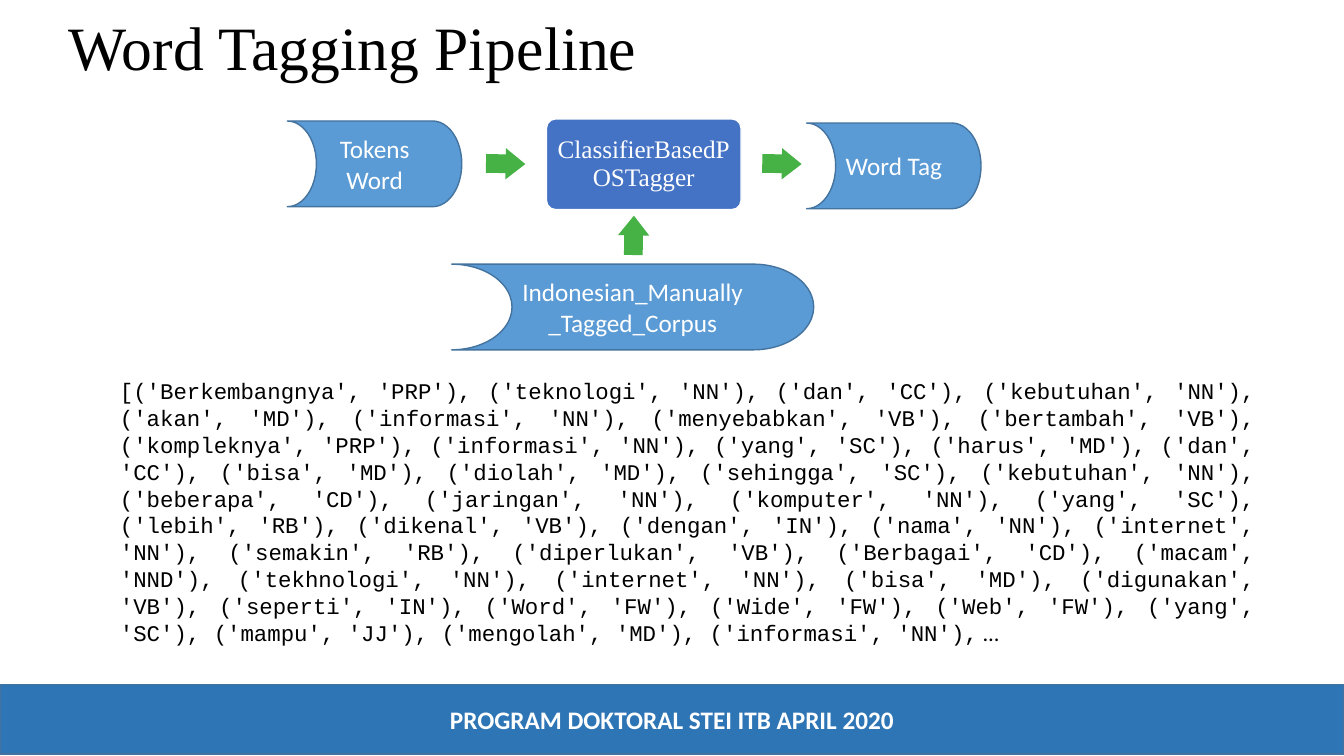
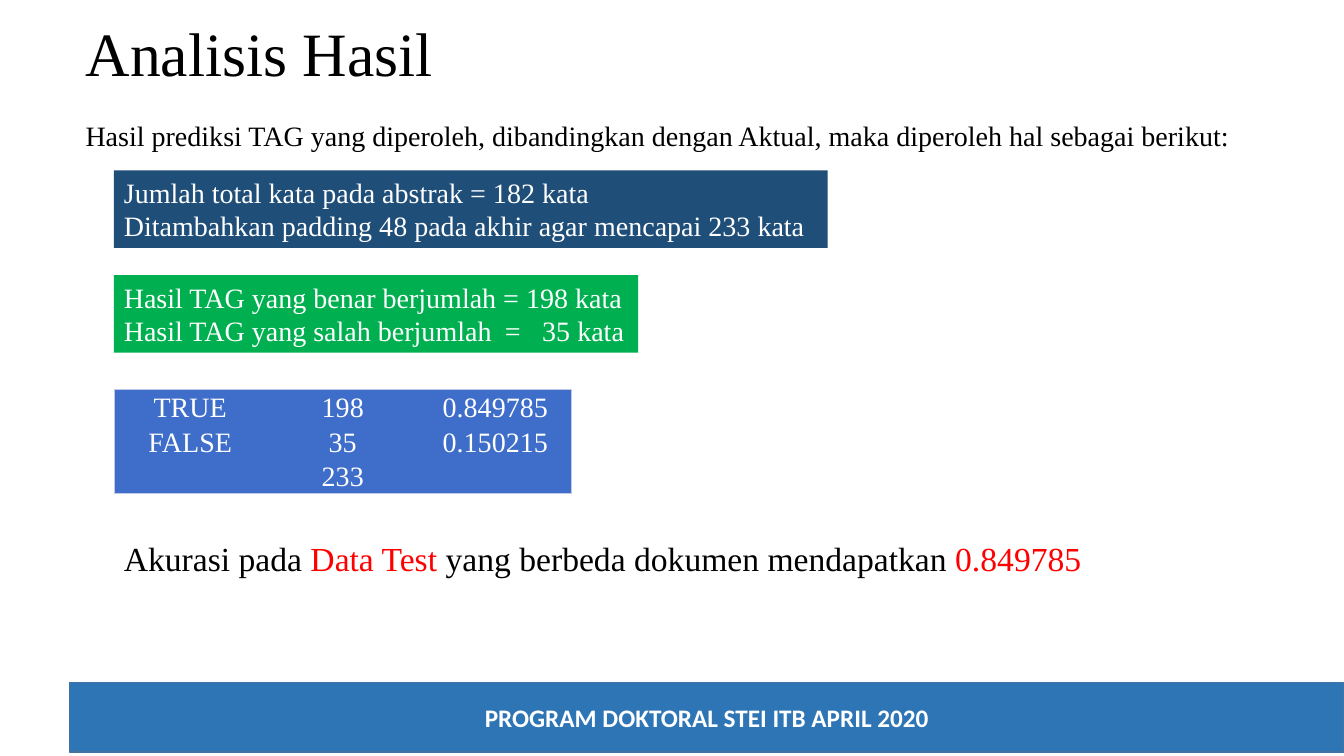
import dataclasses

import lxml.etree
import pptx
import pptx.dml.color
import pptx.enum.shapes
import pptx.enum.text
import pptx.oxml.ns
import pptx.util

Inches = pptx.util.Inches
Pt = pptx.util.Pt
Shape = pptx.enum.shapes.MSO_SHAPE
Align = pptx.enum.text.PP_ALIGN
Anchor = pptx.enum.text.MSO_ANCHOR
AutoSize = pptx.enum.text.MSO_AUTO_SIZE
qn = pptx.oxml.ns.qn


@dataclasses.dataclass(frozen=True)
class Theme:
    black: str = "000000"
    white: str = "FFFFFF"
    red: str = "FF0000"
    green: str = "00B050"
    navy: str = "1F4E79"
    band: str = "2E75B6"
    data: str = "5B9BD5"
    outline: str = "43739E"
    process: str = "4472C4"
    arrow: str = "46B246"
    table: str = "3E6EC9"
    border: str = "C1C9E4"
    serif: str = "Times New Roman"
    sans: str = "Calibri"
    mono: str = "Courier New"
    title_size: int = 44
    remark_size: int = 24
    body_size: int = 20
    label_size: int = 18
    code_size: int = 16


def rgb(value):
    return pptx.dml.color.RGBColor.from_string(value)


def apply(target, values):
    for name, value in values.items():
        setattr(target, name, value)


class Deck:
    width, height = 13.33, 7.5
    footer = "PROGRAM DOKTORAL STEI ITB APRIL 2020"

    def __init__(self):
        self.theme = Theme()
        self.show = pptx.Presentation()
        self.show.slide_width = Inches(self.width)
        self.show.slide_height = Inches(self.height)
        self.page = None

    def start(self, title, place):
        self.page = self.show.slides.add_slide(self.show.slide_layouts[5])
        box = self.page.shapes.title
        sides = zip(("left", "top", "width", "height"), place)
        apply(box, {side: Inches(length) for side, length in sides})
        self.frame(box, Anchor.MIDDLE)
        self.text(box, [[title]], size=self.theme.title_size, spacing=0.9)

    def frame(self, box, anchor, inset=(0.1, 0.05), wrap=True, grow=False):
        across, down = (Inches(length) for length in inset)
        apply(box.text_frame, {
            "auto_size": AutoSize.SHAPE_TO_FIT_TEXT if grow else AutoSize.NONE,
            "word_wrap": wrap,
            "vertical_anchor": anchor,
            "margin_left": across,
            "margin_right": across,
            "margin_top": down,
            "margin_bottom": down,
        })

    def text(self, box, lines, size, color=None, face=None, align=Align.LEFT,
             bold=False, spacing=None, tabs=()):
        frame = box.text_frame
        for index, line in enumerate(lines):
            para = frame.add_paragraph() if index else frame.paragraphs[0]
            apply(para, {"alignment": align, "line_spacing": spacing})
            if any("\t" in str(piece) for piece in line):
                self.set_tabs(para, tabs)
            for piece in line:
                words, changes = (piece, {}) if isinstance(piece, str) else piece
                span = para.add_run()
                span.text = words
                apply(span.font, {
                    "name": changes.get("face", face or self.theme.serif),
                    "size": Pt(size),
                    "bold": bold,
                })
                span.font.color.rgb = rgb(
                    changes.get("color", color or self.theme.black))

    def set_tabs(self, para, tabs):
        properties = para._p.get_or_add_pPr()
        stops = lxml.etree.SubElement(properties, qn("a:tabLst"))
        for position in tabs:
            lxml.etree.SubElement(stops, qn("a:tab"),
                                  pos=str(Inches(position)), algn="l")

    def shape(self, kind, place, fill, line=None):
        box = self.page.shapes.add_shape(kind, *map(Inches, place))
        box.shadow.inherit = False
        box.fill.solid()
        box.fill.fore_color.rgb = rgb(fill)
        if line:
            box.line.color.rgb = rgb(line)
            box.line.width = Pt(1)
        else:
            box.line.fill.background()
        return box

    def label(self, box, words, **style):
        values = {"size": self.theme.label_size, "color": self.theme.white,
                  "face": self.theme.sans, "align": Align.CENTER}
        self.text(box, [[words]], **{**values, **style})

    def data(self, words, place):
        box = self.shape(Shape.FLOWCHART_STORED_DATA, place,
                         self.theme.data, self.theme.outline)
        box.rotation = 180
        box._element.spPr.find(qn("a:xfrm")).set("flipV", "1")
        self.frame(box, Anchor.MIDDLE)
        self.label(box, words)

    def process(self, words, place):
        box = self.shape(Shape.ROUNDED_RECTANGLE, place,
                         self.theme.process, self.theme.white)
        box.adjustments[0] = 0.1
        self.frame(box, Anchor.MIDDLE, inset=(0.07, 0.07))
        self.label(box, words, face=self.theme.serif, spacing=0.9)

    def arrow(self, left, top, turn):
        box = self.shape(Shape.RIGHT_ARROW, (left, top, 0.39, 0.31),
                         self.theme.arrow)
        box.rotation = turn
        box.adjustments[0] = 0.6
        box.adjustments[1] = 0.63

    def code(self, lines, place):
        box = self.shape(Shape.RECTANGLE, place, self.theme.white)
        self.frame(box, Anchor.MIDDLE, inset=(0, 0), grow=True)
        self.text(box, lines, size=self.theme.code_size,
                  face=self.theme.mono, align=Align.JUSTIFY)

    def note(self, lines, place, fill=None, size=None, wrap=False, tabs=()):
        box = self.page.shapes.add_textbox(*map(Inches, place))
        if fill:
            box.fill.solid()
            box.fill.fore_color.rgb = rgb(fill)
        self.frame(box, Anchor.TOP, wrap=wrap, grow=True)
        self.text(box, lines, size=size or self.theme.body_size,
                  color=self.theme.white if fill else None, tabs=tabs)

    def table(self, rows, place):
        last_row, last_column = len(rows) - 1, len(rows[0]) - 1
        holder = self.page.shapes.add_table(
            len(rows), len(rows[0]), *map(Inches, place))
        grid = holder.table
        apply(grid, {"first_row": False, "horz_banding": False})
        style = grid._tbl.tblPr.find(qn("a:tableStyleId"))
        style.text = "{2D5ABB26-0587-4C30-8999-92F81FD0307C}"
        for row, values in enumerate(rows):
            for column, value in enumerate(values):
                cell = grid.cell(row, column)
                apply(cell, {
                    "vertical_anchor": Anchor.BOTTOM,
                    "margin_left": Inches(0.01),
                    "margin_right": Inches(0.01),
                    "margin_top": Inches(0.01),
                    "margin_bottom": 0,
                })
                cell.fill.solid()
                cell.fill.fore_color.rgb = rgb(self.theme.table)
                self.borders(cell, {"L": column == 0,
                                    "R": column == last_column,
                                    "T": row == 0,
                                    "B": row == last_row})
                if value:
                    self.label(cell, value, size=self.theme.body_size,
                               face=self.theme.serif)

    def borders(self, cell, sides):
        properties = cell._tc.get_or_add_tcPr()
        drawn = [side for side, outer in sides.items() if outer]
        for index, side in enumerate(drawn):
            line = lxml.etree.Element(qn("a:ln" + side), w=str(Pt(0.5)))
            fill = lxml.etree.SubElement(line, qn("a:solidFill"))
            lxml.etree.SubElement(fill, qn("a:srgbClr"), val=self.theme.border)
            properties.insert(index, line)

    def band(self, left, top):
        box = self.shape(Shape.RECTANGLE, (left, top, self.width - left, 0.69),
                         self.theme.band, self.theme.outline)
        self.frame(box, Anchor.MIDDLE)
        self.label(box, self.footer, bold=True)


TAGGED_WORDS = (
    "[('Berkembangnya', 'PRP'), ('teknologi', 'NN'), ('dan', 'CC'), "
    "('kebutuhan', 'NN'), ('akan', 'MD'), ('informasi', 'NN'), "
    "('menyebabkan', 'VB'), ('bertambah', 'VB'), ('kompleknya', 'PRP'), "
    "('informasi', 'NN'), ('yang', 'SC'), ('harus', 'MD'), ('dan', 'CC'), "
    "('bisa', 'MD'), ('diolah', 'MD'), ('sehingga', 'SC'), "
    "('kebutuhan', 'NN'), ('beberapa', 'CD'), ('jaringan', 'NN'), "
    "('komputer', 'NN'), ('yang', 'SC'), ('lebih', 'RB'), "
    "('dikenal', 'VB'), ('dengan', 'IN'), ('nama', 'NN'), "
    "('internet', 'NN'), ('semakin', 'RB'), ('diperlukan', 'VB'), "
    "('Berbagai', 'CD'), ('macam', 'NND'), ('tekhnologi', 'NN'), "
    "('internet', 'NN'), ('bisa', 'MD'), ('digunakan', 'VB'), "
    "('seperti', 'IN'), ('Word', 'FW'), ('Wide', 'FW'), ('Web', 'FW'), "
    "('yang', 'SC'), ('mampu', 'JJ'), ('mengolah', 'MD'), "
    "('informasi', 'NN'),"
)


def pipeline_page(deck):
    deck.start("Word Tagging Pipeline", (0.58, 0, 11.5, 1))
    deck.data("Word Tag", (8, 1.22, 1.73, 0.85))
    deck.process("ClassifierBasedPOSTagger", (5.42, 1.18, 1.93, 0.9))
    deck.data("Tokens Word", (2.85, 1.2, 1.73, 0.85))
    deck.data("Indonesian_Manually_Tagged_Corpus", (4.48, 2.62, 3.59, 0.85))
    for left, top, turn in ((4.82, 1.47, 0.9), (7.56, 1.47, 0.9),
                            (6.09, 2.18, 270.9)):
        deck.arrow(left, top, turn)
    deck.code([[TAGGED_WORDS, (" …", {"face": deck.theme.sans})]],
              (1.19, 3.73, 11.26, 2.69))
    deck.band(0, 6.79)


def analysis_page(deck):
    theme, left = deck.theme, 1.13
    deck.start("Analisis Hasil", (0.75, 0.15, 11.5, 0.82))
    deck.note([["Hasil prediksi TAG yang diperoleh, dibandingkan dengan "
                "Aktual, maka diperoleh hal sebagai berikut:"]],
              (0.75, 1.13, 11.63, 0.44))
    deck.note([["Jumlah total kata pada abstrak = 182 kata"],
               ["Ditambahkan padding 48 pada akhir agar mencapai 233 kata"]],
              (left, 1.69, 7.08, 0.77), fill=theme.navy)
    deck.note([["Hasil TAG yang benar berjumlah = 198 kata"],
               ["Hasil TAG yang salah berjumlah\t=\t35 kata"]],
              (left, 2.73, 5.2, 0.77), fill=theme.green, tabs=(3.78, 4.15))
    deck.table([["TRUE", "198", "0.849785"],
                ["FALSE", "35", "0.150215"],
                ["", "233", ""]], (left, 3.86, 4.54, 1.02))
    deck.band(0.69, 6.77)
    red = {"color": theme.red}
    deck.note([["Akurasi pada ", ("Data Test ", red),
                "yang berbeda dokumen mendapatkan ", ("0.849785", red)]],
              (left, 5.29, 10.21, 0.5), size=theme.remark_size, wrap=True)


def main():
    deck = Deck()
    pipeline_page(deck)
    analysis_page(deck)
    deck.show.save("out.pptx")


if __name__ == "__main__":
    main()
